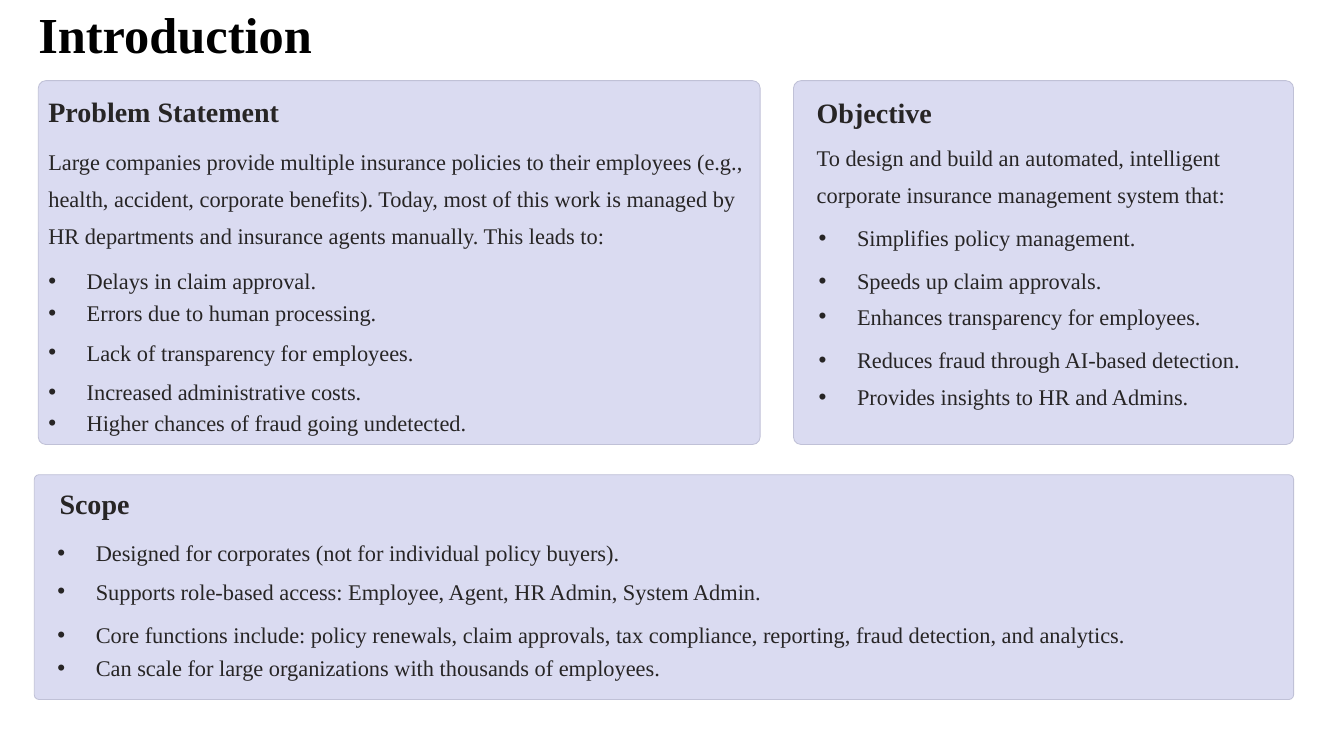
from dataclasses import dataclass
from lxml.etree import SubElement
from pptx import Presentation
from pptx.dml.color import RGBColor
from pptx.enum.shapes import MSO_SHAPE as Shape
from pptx.enum.text import MSO_ANCHOR as Anchor, MSO_AUTO_SIZE as AutoSize, PP_ALIGN as Align
from pptx.oxml.ns import qn
from pptx.util import Inches, Pt

TITLE = "Introduction"
CARDS = [
    {
        "box": (0.38, 0.8, 7.16, 3.61),
        "heading": ("Problem Statement", 0.48, 0.84, 5.86),
        "intro": (
            "Large companies provide multiple insurance policies to their employees "
            "(e.g., health, accident, corporate benefits). Today, most of this work is "
            "managed by HR departments and insurance agents manually. This leads to:",
            0.48, 1.37, 7.05,
        ),
        "list": (2, 0.48, 7.05),
        "bullets": [
            (2.55, "Delays in claim approval."),
            (2.87, "Errors due to human processing."),
            (3.26, "Lack of transparency for employees."),
            (3.65, "Increased administrative costs."),
            (3.96, "Higher chances of fraud going undetected."),
        ],
    },
    {
        "box": (7.87, 0.8, 4.96, 3.61),
        "heading": ("Objective", 8.1, 0.85, 3.7),
        "intro": (
            "To design and build an automated, intelligent corporate insurance "
            "management system that:",
            8.1, 1.33, 4.45,
        ),
        "list": (4, 8.12, 4.45),
        "bullets": [
            (2.12, "Simplifies policy management."),
            (2.55, "Speeds up claim approvals."),
            (2.9, "Enhances transparency for employees."),
            (3.33, "Reduces fraud through AI-based detection."),
            (3.7, "Provides insights to HR and Admins."),
        ],
    },
    {
        "box": (0.34, 4.71, 12.49, 2.23),
        "heading": ("Scope", 0.59, 4.73, 10.98),
        "intro": None,
        "list": (1, 0.57, 12.2),
        "bullets": [
            (5.25, "Designed for corporates (not for individual policy buyers)."),
            (5.63, "Supports role-based access: Employee, Agent, HR Admin, System Admin."),
            (6.06, "Core functions include: policy renewals, claim approvals, tax compliance, "
                   "reporting, fraud detection, and analytics."),
            (6.39, "Can scale for large organizations with thousands of employees."),
        ],
    },
]


@dataclass(frozen=True)
class Theme:
    font: str = "Times New Roman"
    title_color: RGBColor = RGBColor(0, 0, 0)
    text_color: RGBColor = RGBColor(0x27, 0x25, 0x25)
    card_fill: RGBColor = RGBColor(0xDA, 0xDB, 0xF1)
    card_line: RGBColor = RGBColor(0xC0, 0xC1, 0xD7)
    title_size: float = 36
    heading_size: float = 20
    body_size: float = 16
    title_pitch: float = 41.5
    heading_pitch: float = 31
    body_pitch: float = 26.5
    indent: float = 0.38


THEME = Theme()


def place(shape, left, top, width, height):
    shape.left, shape.top = Inches(left), Inches(top)
    shape.width, shape.height = Inches(width), Inches(height)


def prepare_frame(shape):
    frame = shape.text_frame
    frame.margin_left = frame.margin_right = frame.margin_top = frame.margin_bottom = 0
    frame.word_wrap = True
    frame.auto_size = AutoSize.NONE
    frame.vertical_anchor = Anchor.TOP
    return frame


def format_paragraph(paragraph, size, pitch, color=THEME.text_color, bold=False):
    paragraph.alignment = Align.LEFT
    paragraph.line_spacing = Pt(pitch)
    paragraph.space_before = paragraph.space_after = Pt(0)
    font = paragraph.font
    font.name, font.size, font.bold = THEME.font, Pt(size), bold
    font.color.rgb = color


def add_bullet(paragraph):
    properties = paragraph._p.get_or_add_pPr()
    properties.set("marL", str(Inches(THEME.indent)))
    properties.set("indent", str(-Inches(THEME.indent)))
    SubElement(properties, qn("a:buFont")).set("typeface", "Arial")
    SubElement(properties, qn("a:buChar")).set("char", "•")


def add_card(slide, box):
    card = slide.shapes.add_shape(Shape.ROUNDED_RECTANGLE, *map(Inches, box))
    card.adjustments[0] = 0.021
    card.shadow.inherit = False
    card.fill.solid()
    card.fill.fore_color.rgb = THEME.card_fill
    card.line.color.rgb = THEME.card_line
    card.line.width = Pt(0.6)
    slide.shapes._spTree.insert(2, card._element)


def add_text(slide, text, left, top, width, height, size, pitch, bold=False):
    box = slide.shapes.add_textbox(*map(Inches, (left, top, width, height)))
    paragraph = prepare_frame(box).paragraphs[0]
    paragraph.text = text
    format_paragraph(paragraph, size, pitch, bold=bold)


def fill_list(placeholder, left, width, bullets):
    first_top, last_top = bullets[0][0], bullets[-1][0]
    place(placeholder, left, first_top, width, last_top - first_top + 0.37)
    frame = prepare_frame(placeholder)
    previous_top = first_top - THEME.body_pitch / 72
    for index, (top, text) in enumerate(bullets):
        paragraph = frame.add_paragraph() if index else frame.paragraphs[0]
        paragraph.text = text
        add_bullet(paragraph)
        format_paragraph(paragraph, THEME.body_size, round((top - previous_top) * 72, 1))
        previous_top = top


def main():
    presentation = Presentation()
    presentation.slide_width, presentation.slide_height = Inches(13.33), Inches(7.5)
    slide = presentation.slides.add_slide(presentation.slide_layouts[5 - 1])
    title = slide.shapes.title
    place(title, 0.38, 0.05, 4.61, 0.58)
    paragraph = prepare_frame(title).paragraphs[0]
    paragraph.text = TITLE
    format_paragraph(paragraph, THEME.title_size, THEME.title_pitch, THEME.title_color, True)

    placeholders = {shape.placeholder_format.idx: shape for shape in slide.placeholders}
    for card in CARDS:
        add_card(slide, card["box"])
        text, left, top, width = card["heading"]
        add_text(slide, text, left, top, width, 0.43,
                 THEME.heading_size, THEME.heading_pitch, bold=True)
        if card["intro"]:
            text, left, top, width = card["intro"]
            add_text(slide, text, left, top, width, 1.11, THEME.body_size, THEME.body_pitch)
        index, left, width = card["list"]
        fill_list(placeholders[index], left, width, card["bullets"])

    unused = placeholders[3]._element
    unused.getparent().remove(unused)
    presentation.save("out.pptx")


if __name__ == "__main__":
    main()
